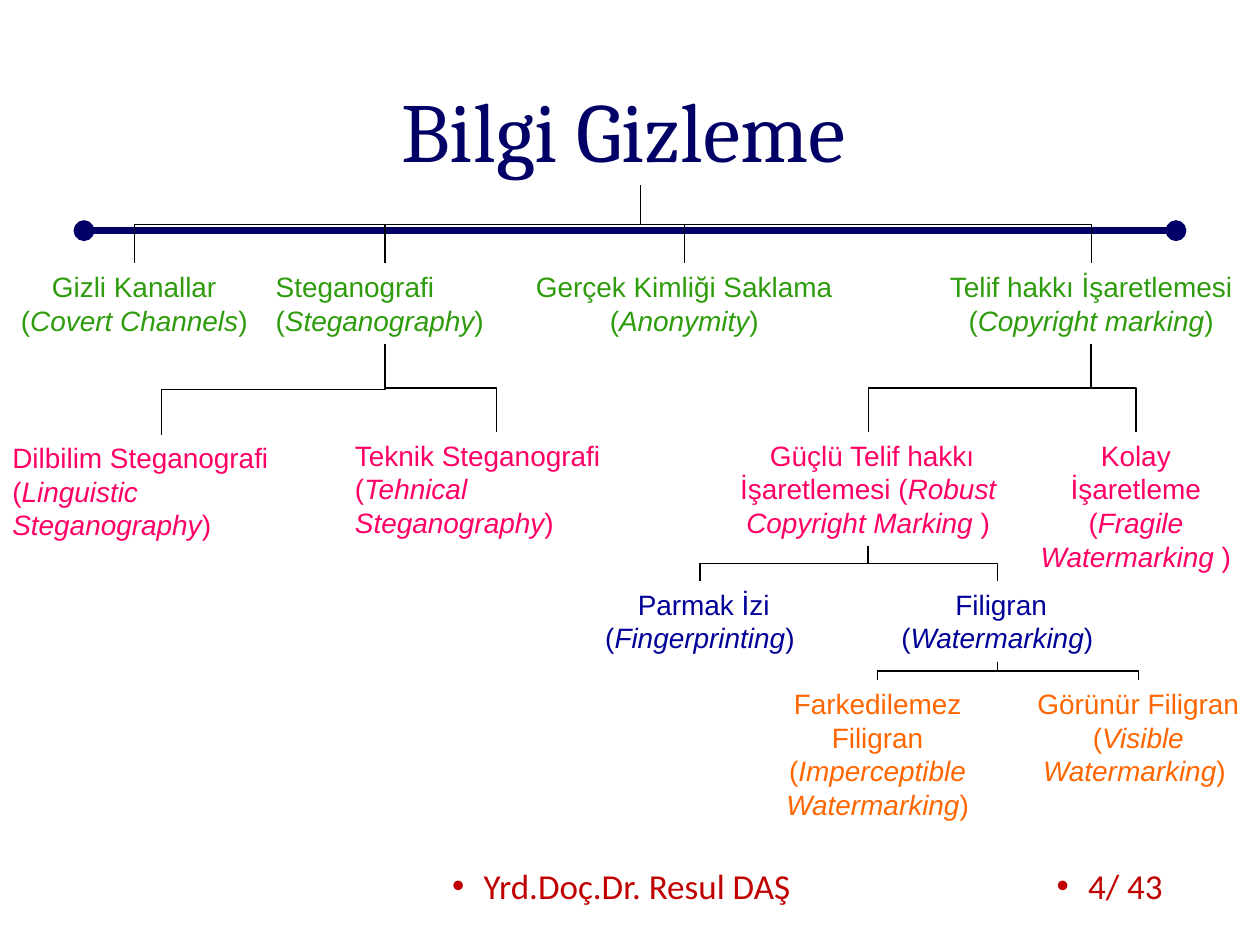
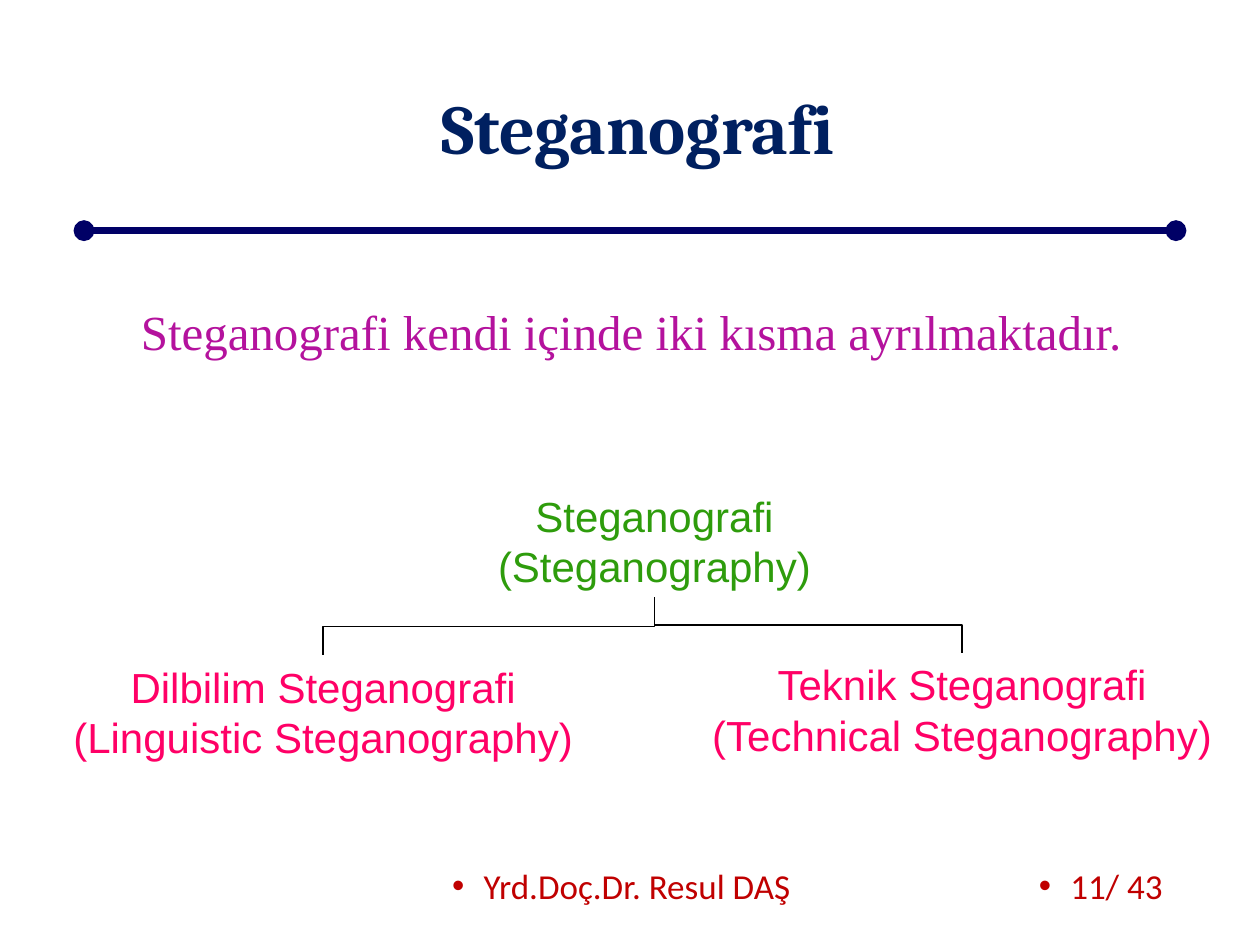
"""Build two slides on the branches of information hiding."""
from dataclasses import dataclass

from lxml.etree import SubElement as Sub
from pptx import Presentation
from pptx.dml.color import RGBColor as Rgb
from pptx.enum.shapes import MSO_CONNECTOR as Link
from pptx.enum.text import MSO_ANCHOR as Anchor, PP_ALIGN as Align
from pptx.oxml.ns import qn
from pptx.util import Pt

NAVY, GREEN, PINK, BLUE, ORANGE = "000066", "2E9C0C", "FF0066", "000099", "FF6600"
RED, DEEP, PLUM, BLACK = "C00000", "002060", "B4129D", "000000"
LEFT, MID, RIGHT = Align.LEFT, Align.CENTER, Align.RIGHT
FOOT_Y, FOOT_H, HANG = 483.8, 44.6, 18


@dataclass(frozen=True)
class Box:
    """Place of a text, in points."""
    x: float
    y: float
    w: float
    h: float

    @property
    def mid(self) -> float:
        """Give the centre across."""
        return self.x + self.w / 2


@dataclass(frozen=True)
class Node:
    """Label of the tree, with the key of its parent."""
    key: str
    text: str
    box: Box
    hue: str
    up: str = ""
    align: Align = MID


def color(hue: str) -> Rgb:
    """Turn a hex string into a colour."""
    return Rgb.from_string(hue)


def write(slide, text: str, box: Box, *, size: float, hue: str, font: str = "Arial",
          align: Align = MID, anchor: Anchor = Anchor.TOP, bold: bool = False,
          wrap: bool = True, dot: bool = False) -> None:
    """Add a text box; parts between asterisks are italic."""
    frame = slide.shapes.add_textbox(Pt(box.x), Pt(box.y), Pt(box.w), Pt(box.h)).text_frame
    frame.word_wrap, frame.vertical_anchor = wrap, anchor
    para = frame.paragraphs[0]
    para.alignment = align
    for i, part in enumerate(text.split("*")):
        run = para.add_run()
        run.text = part
        face = run.font
        face.name, face.size, face.bold, face.italic = font, Pt(size), bold, i % 2 == 1
        face.color.rgb = color(hue)
    if dot:
        props = para._p.get_or_add_pPr()
        props.set("marL", str(Pt(HANG)))
        props.set("indent", str(-Pt(HANG)))
        Sub(props, qn("a:buFont"), typeface="Arial")
        Sub(props, qn("a:buChar"), char="•")


def stroke(slide, kind: Link, ends: tuple, hue: str, width: float):
    """Add a connector without shadow and return its properties."""
    line = slide.shapes.add_connector(kind, *(Pt(v) for v in ends))
    line.line.color.rgb = color(hue)
    line.line.width = Pt(width)
    props = line.element.spPr
    Sub(props, qn("a:effectLst"))
    return props


def join(slide, top: Box, low: Box) -> None:
    """Run an elbow from the foot of one box to the head of another."""
    start, end = top.y + top.h, low.y
    drop, span = end - start, abs(low.mid - top.mid)
    x = (top.mid + low.mid - drop) / 2
    y = (start + end - span) / 2
    right = low.mid > top.mid
    sides = (x + drop, x) if right else (x, x + drop)
    props = stroke(slide, Link.ELBOW, (sides[0], y, sides[1], y + span), BLACK, 0.75)
    turn = 270 if right else 90
    props.find(qn("a:xfrm")).set("rot", str(turn * 60000))


def tree(slide, nodes: list[Node], size: float, root: Box | None = None) -> None:
    """Draw the labels and the elbows between them."""
    spots = {node.key: node.box for node in nodes}
    if root:
        spots["root"] = root
    for node in nodes:
        write(slide, node.text, node.box, size=size, hue=node.hue, align=node.align)
        if node.up:
            join(slide, spots[node.up], node.box)


def base(deck, page: int):
    """Add a slide with the rule and the footer."""
    slide = deck.slides.add_slide(deck.slide_layouts[6])
    props = stroke(slide, Link.STRAIGHT, (48, 131.8, 672, 131.8), NAVY, 4)
    for tag in ("a:headEnd", "a:tailEnd"):
        Sub(props.find(qn("a:ln")), qn(tag), type="oval")
    foot = dict(size=20, hue=RED, font="Calibri", anchor=Anchor.MIDDLE, dot=True)
    write(slide, f"{page}/ 43 ", Box(508.3, FOOT_Y, 167.8, FOOT_H), align=RIGHT, **foot)
    write(slide, "Yrd.Doç.Dr. Resul DAŞ", Box(-5, FOOT_Y, 720, FOOT_H), **foot)
    return slide


ROW1, ROW2, ROW3, ROW4 = 150.5, 247, 332, 388.8
TWO, THREE = 46, 64.8

FULL = [
    Node("covert", "Gizli Kanallar (*Covert Channels*)", Box(2.9, ROW1, 147.6, TWO), GREEN, "root"),
    Node("stego", "Steganografi (*Steganography*)", Box(150.5, ROW1, 139, TWO), GREEN, "root", LEFT),
    Node("anon", "Gerçek Kimliği Saklama (*Anonymity*)", Box(297.4, ROW1, 187.2, TWO), GREEN, "root"),
    Node("copy", "Telif hakkı İşaretlemesi (*Copyright marking*)",
         Box(529.9, ROW1, 187.2, TWO), GREEN, "root"),
    Node("ling", "Dilbilim Steganografi (*Linguistic Steganography*)",
         Box(0, 248.4, 184.3, THREE), PINK, "stego", LEFT),
    Node("tech", "Teknik Steganografi (*Tehnical Steganography*)",
         Box(195.8, ROW2, 175.7, 93.6), PINK, "stego", LEFT),
    Node("robust", " Güçlü Telif hakkı İşaretlemesi (*Robust Copyright Marking* )",
         Box(405.4, ROW2, 181.4, THREE), PINK, "copy"),
    Node("frail", "Kolay İşaretleme (*Fragile Watermarking* )",
         Box(586.8, ROW2, 124.6, 113), PINK, "copy"),
    Node("finger", " Parmak İzi (*Fingerprinting*)", Box(320.4, ROW3, 159.1, TWO), BLUE, "robust"),
    Node("water", " Filigran (*Watermarking*)", Box(490.3, ROW3, 159.1, TWO), BLUE, "robust"),
    Node("unseen", "Farkedilemez Filigran (*Imperceptible Watermarking*)",
         Box(439.2, ROW4, 124.6, 84.2), ORANGE, "water"),
    Node("seen", "Görünür Filigran (*Visible Watermarking*) ",
         Box(581, ROW4, 139, THREE), ORANGE, "water"),
]

PAIR = [
    Node("stego", "Steganografi (Steganography)", Box(221, 276.5, 306, THREE), GREEN),
    Node("ling", "Dilbilim Steganografi (Linguistic Steganography)",
         Box(23, 374.4, 323.3, THREE), PINK, "stego"),
    Node("tech", "Teknik Steganografi (Technical Steganography)",
         Box(396.7, 373, 306, THREE), PINK, "stego"),
]


def main() -> None:
    """Build and save the deck."""
    deck = Presentation()
    deck.slide_width, deck.slide_height = Pt(720), Pt(540)

    slide = base(deck, 4)
    write(slide, "Bilgi Gizleme", Box(39.6, 16.6, 633.6, 113.8), size=48, hue=NAVY,
          font="Cambria", anchor=Anchor.MIDDLE)
    tree(slide, FULL, 16, Box(365.8, 105.8, 0, 0))

    slide = base(deck, 11)
    write(slide, "Steganografi", Box(56.2, 44.6, 616.3, 85.7), size=40, hue=DEEP,
          font="Cambria", bold=True)
    write(slide, "Steganografi kendi içinde iki kısma ayrılmaktadır.", Box(73.4, 168.5, 576.7, 41),
          size=28, hue=PLUM, font="Times New Roman", align=LEFT, wrap=False)
    tree(slide, PAIR, 24)
    deck.save("out.pptx")


if __name__ == "__main__":
    main()
